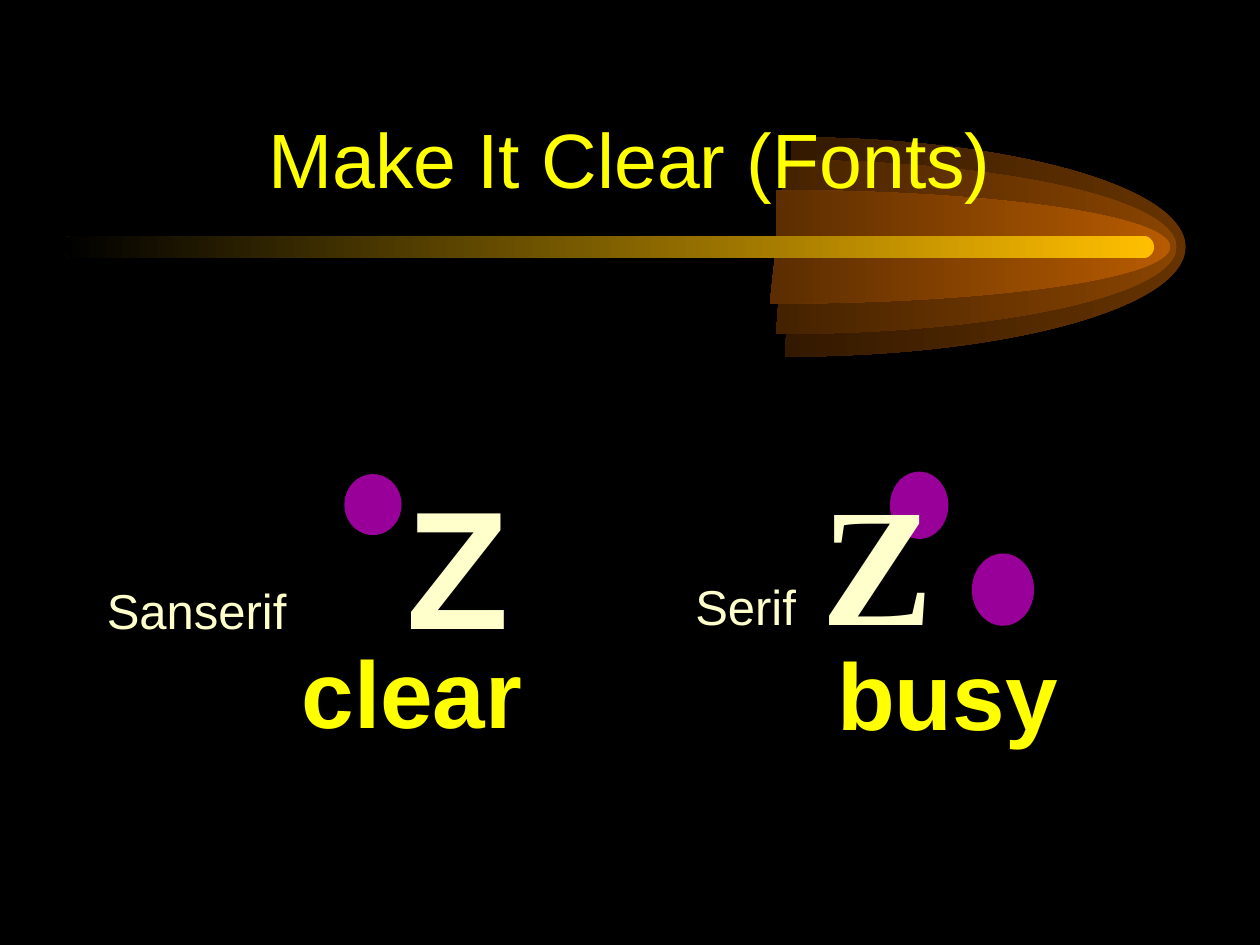
import pptx
import pptx.dml.color
import pptx.enum.shapes
import pptx.enum.text
import pptx.oxml.ns
import pptx.util
from lxml import etree

Inches = pptx.util.Inches
RGB = pptx.dml.color.RGBColor
KIND = pptx.enum.shapes.MSO_SHAPE
ALIGN = pptx.enum.text.PP_ALIGN
ANCHOR = pptx.enum.text.MSO_ANCHOR
qn = pptx.oxml.ns.qn

BLACK = RGB(0x00, 0x00, 0x00)
YELLOW = RGB(0xFF, 0xFF, 0x00)
CREAM = RGB(0xFF, 0xFF, 0xCC)
PURPLE = RGB(0x99, 0x00, 0x99)
GOLD = RGB(0xFF, 0xBF, 0x00)
BROWN = RGB(0x66, 0x33, 0x00)
RUST = RGB(0x89, 0x44, 0x00)
AMBER = RGB(0xB7, 0x5B, 0x00)

SANS, SERIF = "Arial", "Times New Roman"
AXIS = 1.96  # height of the comet's centre line
REACH = 3.13  # half width of each flame
SLANT = 0.05  # how far the lower edge leans to the left
BEND = 0.55  # handle length of a quarter ellipse

LABEL = {"name": SANS, "size": pptx.util.Pt(28)}
LETTER = {"size": pptx.util.Pt(96), "bold": True}
TITLE = {"name": SANS, "size": pptx.util.Pt(44)}
VERDICT = {"name": SANS, "size": pptx.util.Pt(54), "bold": True}


def fade(shape, start, end):
    """Fill from start at the right to end at the left, without outline."""
    shape.shadow.inherit = False
    shape.line.fill.background()
    shape.fill.gradient()
    shape.fill.gradient_angle = 180
    for stop, tone in zip(shape.fill.gradient_stops, (start, end)):
        stop.color.rgb = tone


def curve(shape):
    """Turn each three corners after the first line into a Bezier curve."""
    lines = list(shape._element.iter(qn("a:lnTo")))[1:7]
    for first, *rest in (lines[:3], lines[3:]):
        first.tag = qn("a:cubicBezTo")
        for line in rest:
            first.append(line[0])
            line.getparent().remove(line)


def add_flame(slide, mid, rise, tone):
    """Right half of a flat ellipse around (mid, AXIS)."""
    rim = [(0, -1), (BEND, -1), (1, -BEND), (1, 0),
           (1, BEND), (BEND, 1), (-SLANT / REACH, 1)]
    pen = slide.shapes.build_freeform(Inches(mid), Inches(AXIS))
    pen.add_line_segments([(Inches(mid + REACH * x), Inches(AXIS + rise * y))
                           for x, y in rim], close=True)
    flame = pen.convert_to_shape()
    curve(flame)
    fade(flame, tone, RGB(*(part // 2 for part in tone)))


def add_beam(slide, box):
    beam = slide.shapes.add_shape(KIND.ROUNDED_RECTANGLE, *map(Inches, box))
    beam.adjustments[0] = 0.5
    fade(beam, GOLD, BLACK)


def add_dot(slide, box):
    dot = slide.shapes.add_shape(KIND.OVAL, *map(Inches, box))
    dot.shadow.inherit = False
    dot.fill.solid()
    dot.fill.fore_color.rgb = PURPLE
    dot.line.color.rgb = PURPLE
    dot.line.width = pptx.util.Pt(1)


def add_text(slide, box, runs, tone, frame=None, align=ALIGN.LEFT, tabs=()):
    """Text box with one paragraph; runs are pairs of wording and format."""
    area = slide.shapes.add_textbox(*map(Inches, box)).text_frame
    for key, value in {"word_wrap": True, **(frame or {})}.items():
        setattr(area, key, value)
    para = area.paragraphs[0]
    para.alignment = align
    if tabs:
        stops = etree.SubElement(para._p.get_or_add_pPr(), qn("a:tabLst"))
        for tab in tabs:
            etree.SubElement(stops, qn("a:tab"), pos=str(Inches(tab)), algn="l")
    for words, style in runs:
        run = para.add_run()
        run.text = words
        run.font.color.rgb = tone
        for key, value in style.items():
            setattr(run.font, key, value)


def main():
    deck = pptx.Presentation()
    deck.slide_width, deck.slide_height = Inches(10), Inches(7.5)
    slide = deck.slides.add_slide(deck.slide_layouts[6])
    slide.background.fill.solid()
    slide.background.fill.fore_color.rgb = BLACK

    # Comet: flames from large to small, then the beam
    for flame in ((6.28, 0.87, BROWN), (6.21, 0.69, RUST), (6.16, 0.45, AMBER)):
        add_flame(slide, *flame)
    add_beam(slide, (0.5, 1.87, 8.66, 0.18))

    # Dots that mark the ends of the strokes
    for box in ((7.72, 4.4, 0.48, 0.56), (7.07, 3.75, 0.45, 0.52),
                (2.74, 3.77, 0.44, 0.47)):
        add_dot(slide, box)

    # Samples of both kinds of font
    add_text(slide, (0.75, 2.25, 4.17, 4.5),
             [("Sanserif\t", LABEL), ("Z", {**LETTER, "name": SANS})],
             CREAM, {"margin_top": Inches(1.41)}, tabs=(2.38,))
    add_text(slide, (5.04, 2.21, 4.17, 4.5),
             [("\tSerif\t", LABEL), ("Z", {**LETTER, "name": SERIF})],
             CREAM, {"margin_top": Inches(1.42)}, tabs=(0.38, 1.38))

    # Title and verdicts
    add_text(slide, (0.75, 0.42, 8.5, 1.25), [("Make It Clear (Fonts)", TITLE)],
             YELLOW, {"vertical_anchor": ANCHOR.BOTTOM}, ALIGN.CENTER)
    for words, box in (("busy", (5.41, 5, 4.22, 1)), ("clear", (2.21, 4.98, 2.12, 1))):
        add_text(slide, box, [(words, VERDICT)], YELLOW, align=ALIGN.CENTER)

    deck.save("out.pptx")


if __name__ == "__main__":
    main()
